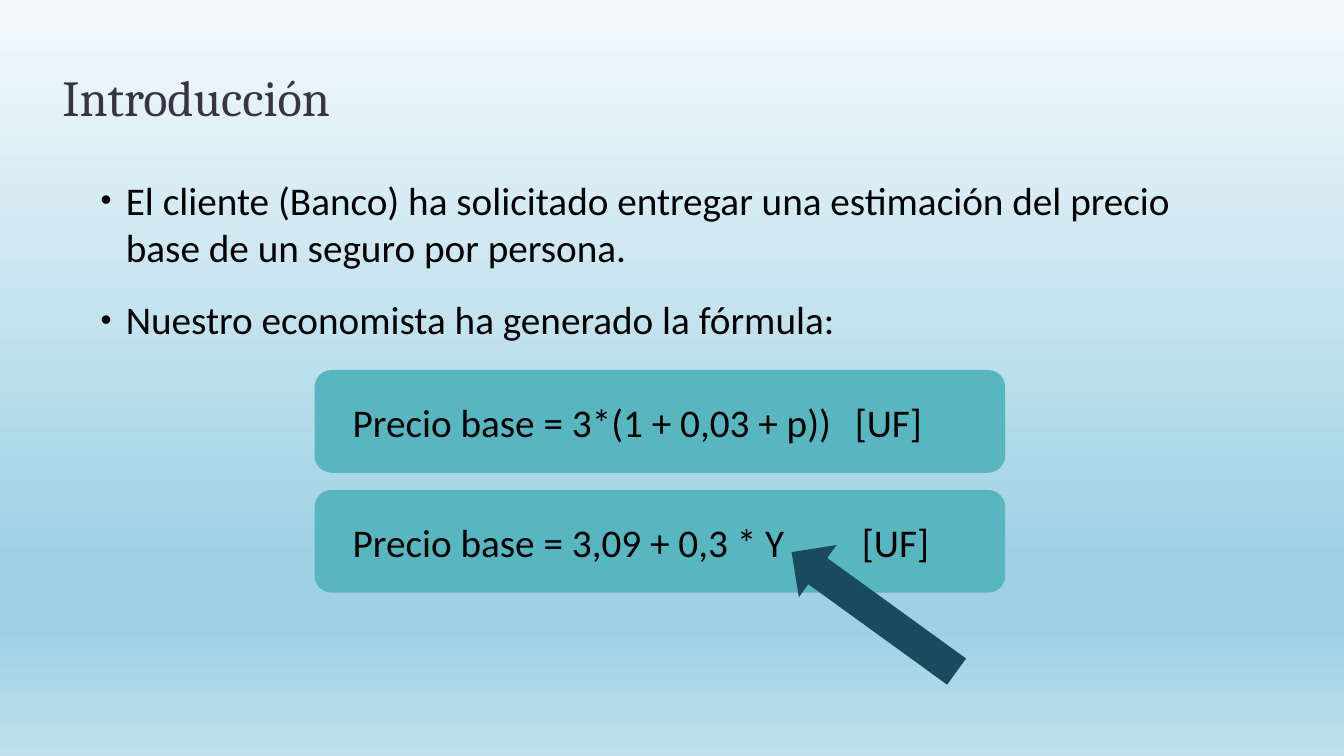
from copy import deepcopy

from lxml.etree import SubElement
from pptx import Presentation
from pptx.dml.color import RGBColor
from pptx.enum.shapes import MSO_SHAPE
from pptx.enum.text import MSO_ANCHOR
from pptx.oxml.ns import qn
from pptx.util import Inches, Pt


def color(hex_value):
    return RGBColor.from_string(hex_value)


class SlideBuilder:
    """Holds the style and the current slide, and draws its elements."""

    heading_font, body_font = "Cambria", "Calibri"
    heading_color, body_color = "373545", "000000"
    panel_color, arrow_color = "58B6C0", "1A4A5D"
    sky = [(0, "F4FAFC"), (0.74, "9FD1E4"), (0.83, "9FD1E4"), (1, "BFE0ED")]

    def __init__(self, slide):
        self.slide = slide

    def background(self):
        fill = self.slide.background.fill
        fill.gradient()
        fill.gradient_angle = 270
        stop_list = next(self.slide.element.iter(qn("a:gsLst")))
        while len(stop_list) < len(self.sky):
            stop_list.append(deepcopy(stop_list[0]))
        for stop, (position, shade) in zip(fill.gradient_stops, self.sky):
            stop.position = position
            stop.color.rgb = color(shade)

    def frame(self, box, anchor=MSO_ANCHOR.TOP):
        frame = self.slide.shapes.add_textbox(*map(Inches, box)).text_frame
        frame.word_wrap = True
        frame.vertical_anchor = anchor
        return frame

    def run(self, paragraph, text, size=28, font=body_font, shade=body_color):
        run = paragraph.add_run()
        run.text = text
        run.font.size = Pt(size)
        run.font.name = font
        run.font.color.rgb = color(shade)

    def title(self, text, box):
        heading = self.frame(box, MSO_ANCHOR.BOTTOM).paragraphs[0]
        heading.line_spacing = 0.8
        self.run(heading, text, 36, self.heading_font, self.heading_color)

    def bullets(self, points, box):
        frame = self.frame(box)
        for index, point in enumerate(points):
            paragraph = frame.add_paragraph() if index else frame.paragraphs[0]
            paragraph.space_before = Pt(18)
            self.run(paragraph, point)
            properties = paragraph._p.get_or_add_pPr()
            properties.set("marL", str(Inches(0.25)))
            properties.set("indent", str(-Inches(0.25)))
            bullet_color = SubElement(properties, qn("a:buClr"))
            SubElement(bullet_color, qn("a:srgbClr"), val=self.body_color)
            SubElement(properties, qn("a:buSzPct"), val="80000")
            SubElement(properties, qn("a:buFont"), typeface="Arial")
            SubElement(properties, qn("a:buChar"), char="•")

    def shape(self, preset, box, shade):
        shape = self.slide.shapes.add_shape(preset, *map(Inches, box))
        shape.shadow.inherit = False
        shape.fill.solid()
        shape.fill.fore_color.rgb = color(shade)
        shape.line.fill.background()
        return shape

    def formula(self, expression, unit, unit_offset, top):
        self.shape(MSO_SHAPE.ROUNDED_RECTANGLE, (3.12, top, 6.85, 1.02), self.panel_color)
        paragraph = self.frame((3.4, top + 0.23, 6.24, 0.57), MSO_ANCHOR.MIDDLE).paragraphs[0]
        self.run(paragraph, f"{expression}\t{unit}")
        tabs = SubElement(paragraph._p.get_or_add_pPr(), qn("a:tabLst"))
        SubElement(tabs, qn("a:tab"), pos=str(Inches(unit_offset)), algn="l")

    def arrow(self, box, rotation):
        self.shape(MSO_SHAPE.RIGHT_ARROW, box, self.arrow_color).rotation = rotation


def main():
    presentation = Presentation()
    presentation.slide_width = Inches(13.33)
    presentation.slide_height = Inches(7.5)
    builder = SlideBuilder(presentation.slides.add_slide(presentation.slide_layouts[6]))

    builder.background()
    builder.title("Introducción", (0.52, 0.13, 12, 1.17))
    builder.bullets(
        [
            "El cliente (Banco) ha solicitado entregar una estimación del precio "
            "base de un seguro por persona.",
            "Nuestro economista ha generado la fórmula:",
        ],
        (0.9, 1.7, 11.25, 4.58),
    )
    formulas = [
        ("Precio base = 3*(1 + 0,03 + p))", 4.98),
        ("Precio base = 3,09 + 0,3 * Y", 5.05),
    ]
    for row, (expression, unit_offset) in enumerate(formulas):
        builder.formula(expression, "[UF]", unit_offset, 3.67 + 1.19 * row)
    builder.arrow((7.66, 5.75, 2.02, 0.64), 215.9)

    presentation.save("out.pptx")


if __name__ == "__main__":
    main()
